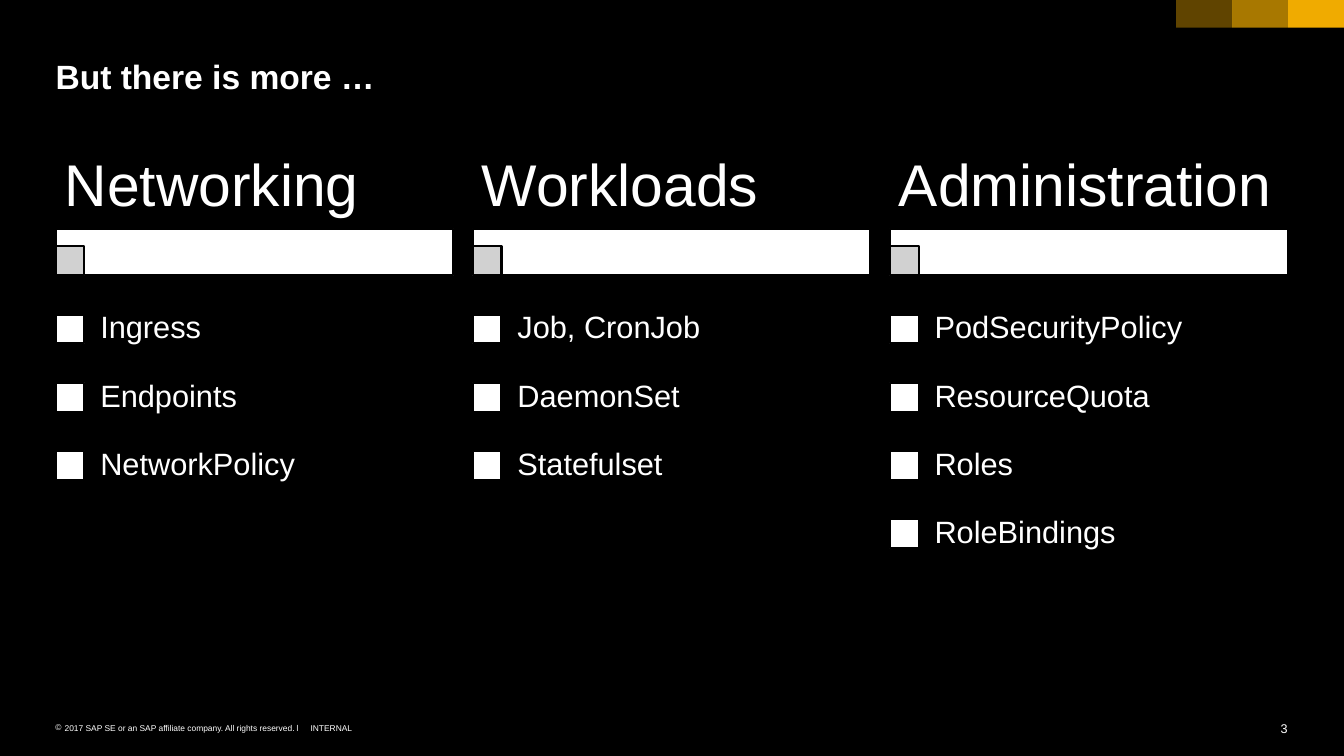
from lxml import etree
from pptx import Presentation
from pptx.dml.color import RGBColor
from pptx.enum.shapes import MSO_SHAPE
from pptx.enum.text import MSO_ANCHOR, PP_ALIGN
from pptx.oxml.ns import qn
from pptx.util import Cm, Pt

RECT = MSO_SHAPE.RECTANGLE
TOP, MIDDLE = MSO_ANCHOR.TOP, MSO_ANCHOR.MIDDLE
LEFT, RIGHT = PP_ALIGN.LEFT, PP_ALIGN.RIGHT

COLORS = {"black": "000000", "white": "FFFFFF", "gold": "F0AB00", "grey": "CCCCCC"}
FONT = "Arial"
MARGIN = 1.4
WIDTH = 31.06
COLUMN_WIDTH = 10.03
ROW_HEIGHT = 1.72
MARKER = 0.73

COLUMNS = [
    ("Networking", ["Ingress", "Endpoints", "NetworkPolicy"]),
    ("Workloads", ["Job, CronJob", "DaemonSet", "Statefulset"]),
    ("Administration", ["PodSecurityPolicy", "ResourceQuota", "Roles", "RoleBindings"]),
]


def rgb(name):
    return RGBColor.from_string(COLORS[name])


def write(shape, text, size, bold=False, align=LEFT, anchor=TOP, inset=(0, 0), wrap=True):
    """Put one formatted run in a shape; inset is (horizontal, vertical) in cm."""
    tf = shape.text_frame
    tf.word_wrap = wrap
    tf.vertical_anchor = anchor
    tf.margin_left = tf.margin_right = Cm(inset[0])
    tf.margin_top = tf.margin_bottom = Cm(inset[1])
    p = tf.paragraphs[0]
    p.alignment = align
    r = p.add_run()
    r.text = text
    r.font.name = FONT
    r.font.size = Pt(size)
    r.font.bold = bold
    r.font.color.rgb = rgb("white")
    return p


def add_text(s, x, y, w, h, text, size, **options):
    box = s.shapes.add_textbox(Cm(x), Cm(y), Cm(w), Cm(h))
    return write(box, text, size, **options)


def add_rect(s, x, y, w, h, color, opacity=100, outlined=True):
    sp = s.shapes.add_shape(RECT, Cm(x), Cm(y), Cm(w), Cm(h))
    sp.shadow.inherit = False
    sp.fill.solid()
    sp.fill.fore_color.rgb = rgb(color)
    if opacity < 100:
        fill = sp.fill._xPr.find(qn("a:solidFill"))
        etree.SubElement(fill[0], qn("a:alpha"), val=str(opacity * 1000))
    if outlined:
        sp.line.color.rgb = rgb("black")
        sp.line.width = Pt(1.5)
    else:
        sp.line.fill.background()


def add_title(s, x, y, w, h):
    title = s.shapes.title
    title.left, title.top, title.width, title.height = Cm(x), Cm(y), Cm(w), Cm(h)
    write(title, "But there is more …", 24, bold=True)


def add_corner_bars(s, right, y, w, h):
    for i, opacity in enumerate((100, 70, 40), start=1):
        add_rect(s, right - i * w, y, w, h, "gold", opacity, outlined=False)


def add_column(s, x, y, w, heading, items):
    add_rect(s, x, y + 2.11, w, 1.17, "white")
    add_rect(s, x, y + 3.28 - MARKER, MARKER, MARKER, "grey", 90)
    p = add_text(s, x, y, w, 2.11, heading, 42, anchor=MIDDLE, inset=(0.23, 0.15))
    p.line_spacing = 0.9
    for i, item in enumerate(items):
        row = y + 3.77 + i * ROW_HEIGHT
        add_rect(s, x, row + (ROW_HEIGHT - MARKER) / 2, MARKER, MARKER, "white")
        p = add_text(s, x + 0.7, row, w - 0.7, ROW_HEIGHT, item, 22,
                     anchor=MIDDLE, inset=(0.43, 0.43))
        p.line_spacing = 0.9


def add_footer(s, x, y, w):
    p = add_text(s, x, y, 6.3, 0.25,
                 "2017 SAP SE or an SAP affiliate company. All rights reserved.\tǀ", 6)
    pPr = p._p.get_or_add_pPr()
    pPr.set("marL", str(Cm(0.23)))
    pPr.set("indent", str(-Cm(0.23)))
    color = etree.SubElement(pPr, qn("a:buClr"))
    etree.SubElement(color, qn("a:srgbClr"), val=COLORS["white"])
    etree.SubElement(pPr, qn("a:buFont"), typeface=FONT)
    etree.SubElement(pPr, qn("a:buChar"), char="©")
    tabs = etree.SubElement(pPr, qn("a:tabLst"))
    etree.SubElement(tabs, qn("a:tab"), pos=str(Cm(6.14)), algn="l")
    add_text(s, x + 6.43, y, 1.07, 0.25, "INTERNAL", 6, wrap=False)
    add_text(s, x + w - 0.38, y - 0.05, 0.38, 0.38, "3", 9, align=RIGHT, wrap=False)


def main():
    prs = Presentation()
    prs.slide_width, prs.slide_height = Cm(33.88), Cm(19.05)
    s = prs.slides.add_slide(prs.slide_layouts[5])
    s.background.fill.solid()
    s.background.fill.fore_color.rgb = rgb("black")
    add_corner_bars(s, 33.88, 0, 1.41, 0.7)
    add_title(s, MARGIN, 1.4, WIDTH, 1.02)
    pitch = (WIDTH - COLUMN_WIDTH) / (len(COLUMNS) - 1)
    for i, (heading, items) in enumerate(COLUMNS):
        add_column(s, MARGIN + i * pitch, 3.66, COLUMN_WIDTH, heading, items)
    add_footer(s, MARGIN, 18.21, WIDTH)
    prs.save("out.pptx")


if __name__ == "__main__":
    main()
